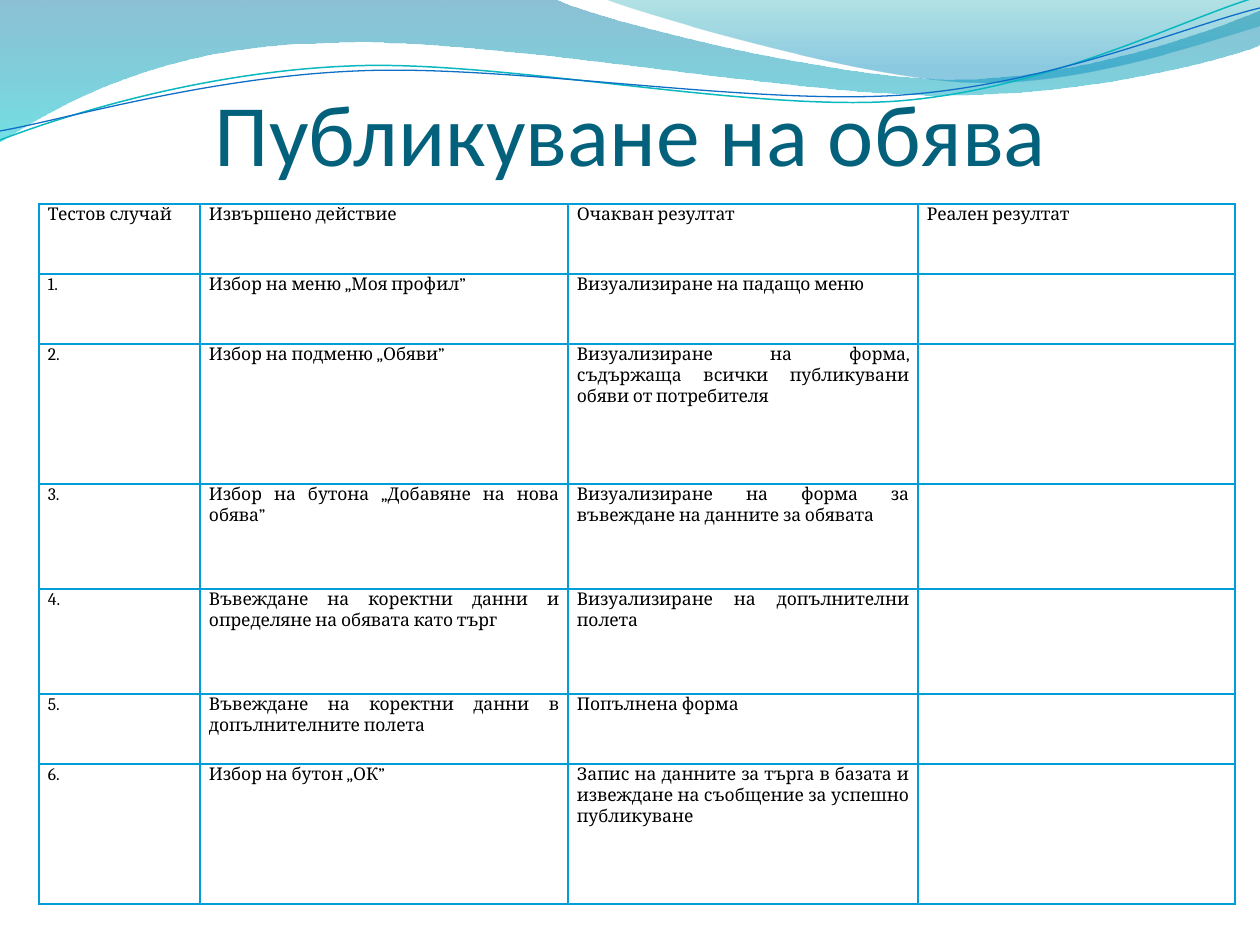
from lxml import etree
from pptx import Presentation
from pptx.dml.color import RGBColor
from pptx.enum.text import MSO_ANCHOR, PP_ALIGN
from pptx.oxml.ns import qn
from pptx.util import Pt

CENTER, JUSTIFY = PP_ALIGN.CENTER, PP_ALIGN.JUSTIFY
BOTTOM = MSO_ANCHOR.BOTTOM
PX = 914400 / 126  # EMU per px
C = {"title": "04617B", "text": "000000", "border": "009DD9",
     "wave_blue": "0074A1", "wave_cyan": "00C6CF",
     "fold_teal": "00A1A9", "fold_blue": "008BBF",
     "line_teal": "0AB8BF", "line_blue": "0F6FC6"}


def px(n):
    return round(n * PX)


def add_text(tf, text, size, font, color, align, spacing=None):
    tf.word_wrap = True
    p = tf.paragraphs[0]
    p.alignment = align
    p.line_spacing = spacing
    r = p.add_run()
    r.text = text
    r.font.size = Pt(size)
    r.font.name = font
    r.font.color.rgb = RGBColor.from_string(C[color])


prs = Presentation()
prs.slide_width, prs.slide_height = px(1260), px(945)
s = prs.slides.add_slide(prs.slide_layouts[6])

# Waves: start, then corners (x, y) or Bezier curves (two handles, end);
# stops are (position, colour, opacity %), line is (colour, width)
waves = [
    {"start": (0, 0),
     "parts": [(554, -1), (600, 21, 837, 79, 955, 79),
               (1075, 79, 1207, 33, 1260, 11), (1261, 45),
               (1239, 55, 1096, 96, 940, 95), (784, 95, 481, 35, 324, 43),
               (163, 45, 58, 105, -1, 142)],
     "stops": [(0, "wave_blue", 45), (1, "wave_cyan", 55)]},
    {"start": (604, -1),
     "parts": [(641, 14, 859, 78, 969, 82), (1079, 87, 1211, 40, 1260, 26),
               (1260, 0)],
     "stops": [(0, "fold_teal", 30), (0.8, "fold_blue", 45)]},
    {"start": (0, 140),
     "parts": [(60, 117, 199, 72, 349, 66), (498, 59, 747, 112, 898, 101),
               (1050, 89, 1182, 19, 1257, -3)],
     "line": ("line_teal", 0.85)},
    {"start": (0, 131),
     "parts": [(59, 121, 207, 77, 357, 71), (508, 64, 752, 106, 903, 95),
               (1053, 84, 1186, 26, 1260, 8)],
     "line": ("line_blue", 0.75)},
]
for wave in waves:
    ends = [part[-2:] for part in wave["parts"]]
    fb = s.shapes.build_freeform(*wave["start"], scale=PX)
    fb.add_line_segments(ends, close="stops" in wave)
    sp = fb.convert_to_shape()
    sp.shadow.inherit = False

    # Bend the straight segments that have handles
    left, top = (min(axis) for axis in zip(wave["start"], *ends))
    segments = list(sp.element.spPr.iter(qn("a:lnTo")))
    for seg, part in zip(segments, wave["parts"]):
        if len(part) == 6:
            seg.tag = qn("a:cubicBezTo")
            handles = [etree.Element(qn("a:pt"), x=str(part[i] - left),
                                     y=str(part[i + 1] - top)) for i in (0, 2)]
            seg[0:0] = handles

    if "stops" in wave:
        sp.line.fill.background()
        sp.fill.gradient()
        sp.fill.gradient_angle = 270  # top to bottom
        for stop, (pos, color, alpha) in zip(sp.fill.gradient_stops, wave["stops"]):
            stop.position = pos
            stop.color.rgb = RGBColor.from_string(C[color])
        for clr, (pos, color, alpha) in zip(sp.element.spPr.iter(qn("a:srgbClr")),
                                            wave["stops"]):
            etree.SubElement(clr, qn("a:alpha"), val=str(alpha * 1000))
    else:
        color, width = wave["line"]
        sp.fill.background()
        sp.line.color.rgb = RGBColor.from_string(C[color])
        sp.line.width = Pt(width)

# Title
sp = s.shapes.add_textbox(px(64), px(26), px(1134), px(158))
tf = sp.text_frame
tf.margin_left = tf.margin_right = tf.margin_bottom = 0
tf.margin_top = px(6)
tf.vertical_anchor = BOTTOM
add_text(tf, "Публикуване на обява", 50, "Calibri", "title", CENTER)

# Test case table
rows = [
    ("Тестов случай", "Извършено действие", "Очакван резултат", "Реален резултат"),
    ("1.", "Избор на меню „Моя профил”", "Визуализиране на падащо меню", ""),
    ("2.", "Избор на подменю „Обяви”",
     "Визуализиране на форма, съдържаща всички публикувани обяви от потребителя", ""),
    ("3.", "Избор на бутона „Добавяне на нова обява”",
     "Визуализиране на форма за въвеждане на данните за обявата", ""),
    ("4.", "Въвеждане на коректни данни и определяне на обявата като търг",
     "Визуализиране на допълнителни полета", ""),
    ("5.", "Въвеждане на коректни данни в допълнителните полета",
     "Попълнена форма", ""),
    ("6.", "Избор на бутон „ОК”",
     "Запис на данните за търга в базата и извеждане на съобщение за успешно публикуване", ""),
]
widths = [161, 368, 350, 317]
heights = [70, 70, 140, 105, 105, 70, 140]
table = s.shapes.add_table(len(rows), len(widths), px(39), px(204),
                           px(sum(widths)), px(sum(heights))).table
table.first_row = table.horz_banding = False
for col, w in zip(table.columns, widths):
    col.width = px(w)
for row, h, texts in zip(table.rows, heights, rows):
    row.height = px(h)
    for cell, text in zip(row.cells, texts):
        cell.margin_left = cell.margin_right = px(9)
        cell.margin_top = cell.margin_bottom = 0
        if text:
            add_text(cell.text_frame, text, 10, "Cambria", "text", JUSTIFY, Pt(12))
        tcPr = cell._tc.get_or_add_tcPr()
        for side in ("lnL", "lnR", "lnT", "lnB"):
            ln = etree.SubElement(tcPr, qn("a:" + side), w=str(Pt(1)))
            fill = etree.SubElement(ln, qn("a:solidFill"))
            etree.SubElement(fill, qn("a:srgbClr"), val=C["border"])
        cell.fill.background()

prs.save("out.pptx")
